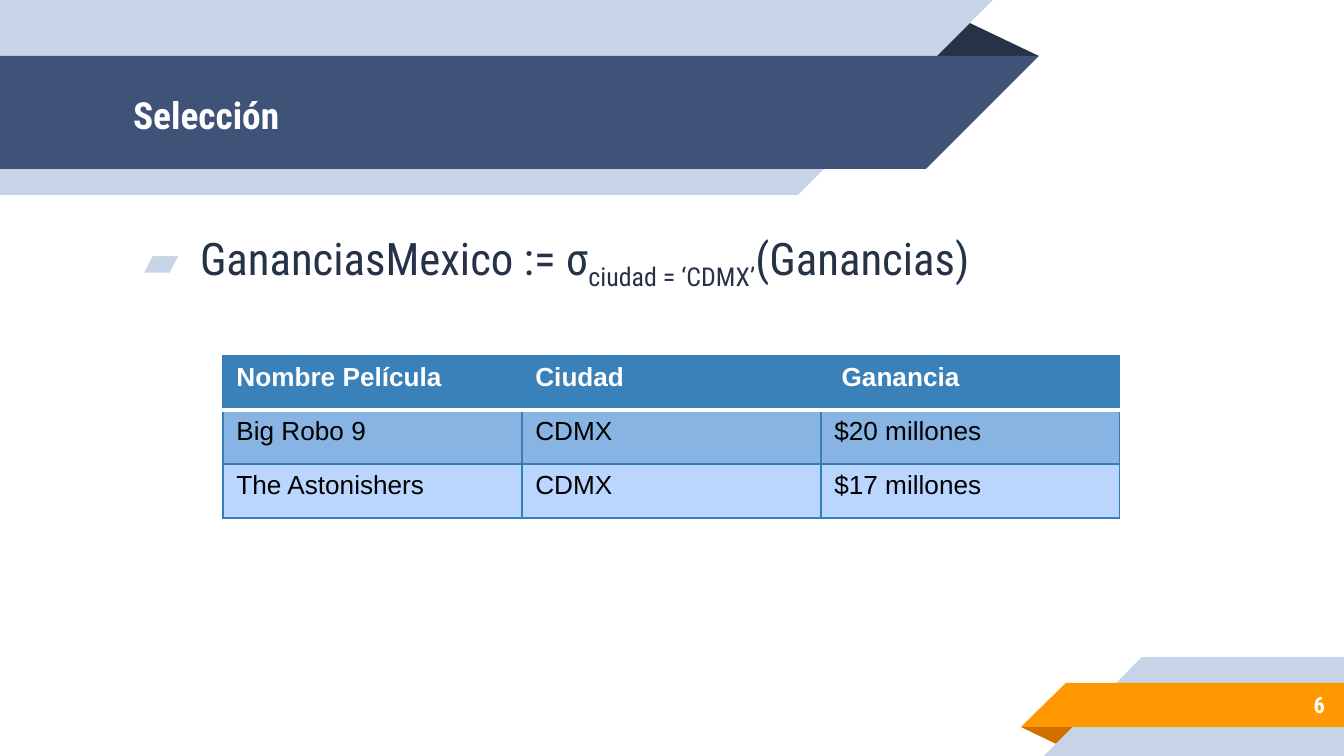
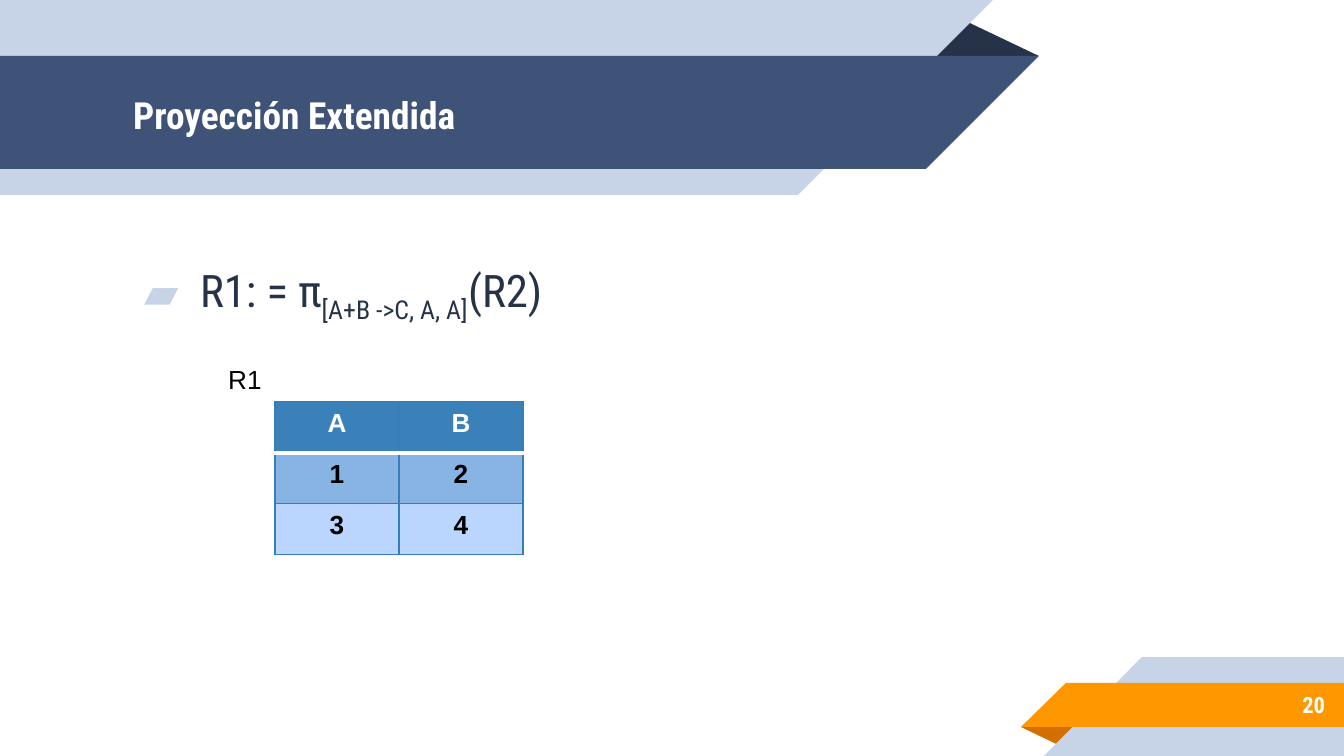
from dataclasses import dataclass

from lxml.etree import SubElement
from pptx import Presentation
from pptx.dml.color import RGBColor
from pptx.enum.shapes import MSO_SHAPE as SHAPE
from pptx.enum.text import MSO_ANCHOR as ANCHOR, MSO_AUTO_SIZE as AUTO_SIZE, PP_ALIGN as ALIGN
from pptx.oxml import parse_xml
from pptx.oxml.ns import nsdecls, qn
from pptx.util import Pt


@dataclass(frozen=True)
class Theme:
    heading_font: str = "Roboto Condensed"
    table_font: str = "Arial"
    white: str = "FFFFFF"
    black: str = "000000"
    ink: str = "263248"
    navy: str = "3F5378"
    pale: str = "C7D3E6"
    orange: str = "FF9800"
    rust: str = "D26F00"
    header: str = "3A81BA"
    dark_row: str = "87B4E3"
    light_row: str = "BAD6FF"
    border: str = "367EB9"
    title_size: int = 20
    formula_size: int = 24
    table_size: int = 14
    number_size: int = 12


theme = Theme()
EMU_PER_PX = 914400 / 134.4
INSET = 13


def px(*lengths):
    return [round(length * EMU_PER_PX) for length in lengths]


def add_span(para, text, size, color, font=theme.heading_font, bold=False):
    span = para.add_run()
    span.text = text
    span.font.name = font
    span.font.size = Pt(size)
    span.font.bold = bold
    span.font.color.rgb = RGBColor.from_string(color)
    return span


deck = Presentation()
deck.slide_width, deck.slide_height = px(1344, 756)
layout = deck.slide_layouts[1]

# Ribbons: preset, place, colour, flip or turn
ribbons = [
    (SHAPE.ISOSCELES_TRIANGLE, (925, 19, 114, 37), theme.ink, None),
    (SHAPE.RECTANGLE, (0, 0, 798, 195), theme.pale, None),
    (SHAPE.RIGHT_TRIANGLE, (798, 0, 195, 195), theme.pale, "flipV"),
    (SHAPE.RECTANGLE, (0, 56, 926, 113), theme.navy, None),
    (SHAPE.RIGHT_TRIANGLE, (926, 56, 113, 113), theme.navy, "flipV"),
    (SHAPE.ISOSCELES_TRIANGLE, (1021, 727, 58, 19), theme.rust, "turn"),
    (SHAPE.RECTANGLE, (1142, 657, 202, 99), theme.pale, None),
    (SHAPE.RIGHT_TRIANGLE, (1044, 657, 98, 99), theme.pale, "flipH"),
    (SHAPE.RECTANGLE, (1066, 683, 278, 44), theme.orange, None),
    (SHAPE.RIGHT_TRIANGLE, (1021, 683, 45, 44), theme.orange, "flipH"),
]

# Slide content
lessons = [
    {
        "title": "Selección",
        "number": "6",
        "formula": ("GananciasMexico := σ", "ciudad = ‘CDMX’", "(Ganancias)"),
        "formula_inset": 36,
        "rows": [
            ("Nombre Película", "Ciudad", " Ganancia"),
            ("Big Robo 9", "CDMX", "$20 millones"),
            ("The Astonishers", "CDMX", "$17 millones"),
        ],
        "corner": (223, 356),
        "cell": (299, 54),
        "align": ALIGN.LEFT,
        "bold_body": False,
        "label": None,
    },
    {
        "title": "Proyección Extendida",
        "number": "20",
        "formula": ("R1: = π", "[A+B ->C, A, A]", "(R2)"),
        "formula_inset": 68,
        "rows": [("A", "B"), ("1", "2"), ("3", "4")],
        "corner": (275, 402),
        "cell": (124, 51),
        "align": ALIGN.CENTER,
        "bold_body": True,
        "label": "R1",
    },
]

pages = [deck.slides.add_slide(layout) for lesson in lessons]

# Draw the ribbons once and move them to the shared layout
for order, (preset, place, color, change) in enumerate(ribbons):
    ribbon = pages[0].shapes.add_shape(preset, *px(*place))
    ribbon.shadow.inherit = False
    ribbon.fill.solid()
    ribbon.fill.fore_color.rgb = RGBColor.from_string(color)
    ribbon.line.fill.background()
    if preset == SHAPE.ISOSCELES_TRIANGLE:
        ribbon.adjustments[0] = 0.32
    if change == "turn":
        ribbon.rotation = 180
    elif change:
        ribbon._element.spPr.xfrm.set(change, "1")
    ribbon._element.nvSpPr.cNvPr.set("id", str(20 + order))
    layout.shapes._spTree.insert(2 + order, ribbon._element)

for page, lesson in zip(pages, lessons):
    # Title, formula and page number boxes
    title = page.shapes.title
    body = page.placeholders[1]
    number = page.shapes.add_textbox(0, 0, 0, 0)
    for box, place, anchor, top_inset in (
        (title, (120, 58, 808, 113), ANCHOR.MIDDLE, INSET),
        (body, (120, 195, 902, 462), ANCHOR.TOP, lesson["formula_inset"]),
        (number, (1120, 681, 218, 47), ANCHOR.MIDDLE, INSET),
    ):
        box.left, box.top, box.width, box.height = px(*place)
        frame = box.text_frame
        frame.word_wrap = True
        frame.auto_size = AUTO_SIZE.NONE
        frame.vertical_anchor = anchor
        frame.margin_left, frame.margin_top, frame.margin_right, frame.margin_bottom = px(
            INSET, top_inset, INSET, INSET)

    for box, text, size, align in (
        (title, lesson["title"], theme.title_size, ALIGN.LEFT),
        (number, lesson["number"], theme.number_size, ALIGN.RIGHT),
    ):
        para = box.text_frame.paragraphs[0]
        para.alignment = align
        add_span(para, text, size, theme.white, bold=True)

    # Formula with its bullet and subscript
    para = body.text_frame.paragraphs[0]
    para.space_before = Pt(6)
    props = para._p.get_or_add_pPr()
    indent, hanging = px(67, -56)
    props.set("marL", str(indent))
    props.set("indent", str(hanging))
    bullet_color = SubElement(props, qn("a:buClr"))
    SubElement(bullet_color, qn("a:srgbClr"), val=theme.pale)
    SubElement(props, qn("a:buFont"), typeface=theme.heading_font)
    SubElement(props, qn("a:buChar"), char="▰")
    head, subscript, tail = lesson["formula"]
    add_span(para, head, theme.formula_size, theme.ink)
    span = add_span(para, subscript, theme.formula_size, theme.ink)
    span._r.get_or_add_rPr().set("baseline", "-25000")
    add_span(para, tail, theme.formula_size, theme.ink)

    # Table
    rows = lesson["rows"]
    cell_width, cell_height = lesson["cell"]
    size = (cell_width * len(rows[0]), cell_height * len(rows))
    table = page.shapes.add_table(
        len(rows), len(rows[0]), *px(*lesson["corner"], *size)).table
    table.horz_banding = False
    for column in table.columns:
        column.width = px(cell_width)[0]
    for row in table.rows:
        row.height = px(cell_height)[0]
    row_fills = (theme.header, theme.dark_row, theme.light_row)
    for r, (texts, fill) in enumerate(zip(rows, row_fills)):
        for c, text in enumerate(texts):
            cell = table.cell(r, c)
            cell.fill.solid()
            cell.fill.fore_color.rgb = RGBColor.from_string(fill)
            para = cell.text_frame.paragraphs[0]
            para.alignment = lesson["align"]
            add_span(para, text, theme.table_size, theme.black if r else theme.white,
                     theme.table_font, lesson["bold_body"] or r == 0)
            for order, side in enumerate("LRTB"):
                under_header = (r, side) in ((0, "B"), (1, "T"))
                color, points = (theme.white, 2) if under_header else (theme.border, 0.75)
                cell._tc.get_or_add_tcPr().insert(order, parse_xml(
                    f'<a:ln{side} {nsdecls("a")} w="{Pt(points)}"><a:solidFill>'
                    f'<a:srgbClr val="{color}"/></a:solidFill></a:ln{side}>'))

    # Table label
    if lesson["label"]:
        label = page.shapes.add_textbox(*px(215, 357, 60, 46))
        label.text_frame.word_wrap = False
        label.text_frame.auto_size = AUTO_SIZE.SHAPE_TO_FIT_TEXT
        add_span(label.text_frame.paragraphs[0], lesson["label"],
                 theme.table_size, theme.black, theme.table_font)

deck.save("out.pptx")
